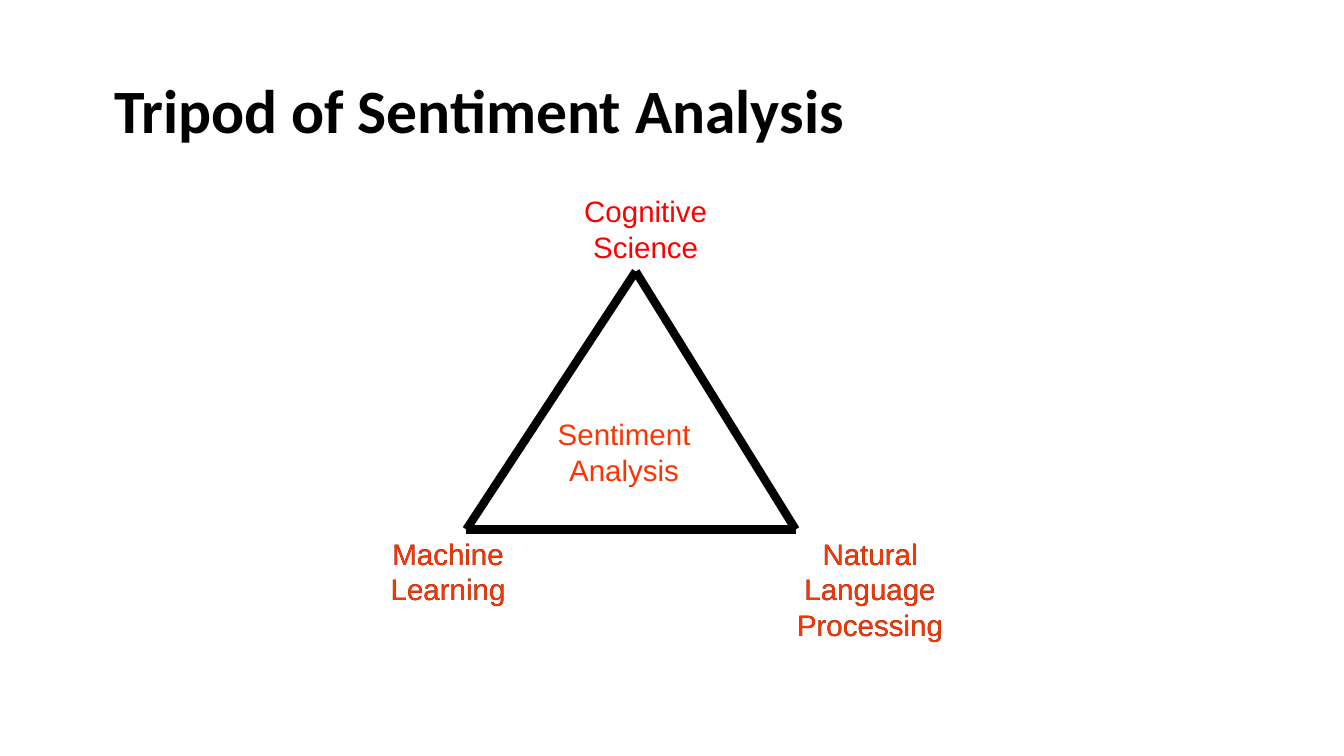
from typing import NamedTuple

from lxml import etree
from pptx import Presentation
from pptx import util as u
from pptx.dml.color import RGBColor
from pptx.enum import shapes, text
from pptx.oxml.ns import qn

SLIDE_WIDTH = 10
SLIDE_HEIGHT = SLIDE_WIDTH * 9 / 16
BLACK, RED, ORANGE = "000000", "FF0000", "FF3300"


class Point(NamedTuple):
    """A place given as shares of the slide's width and height."""
    x: float
    y: float


class Label(NamedTuple):
    words: str
    corner: Point
    height: float
    colors: tuple[str, ...]  # layers from back to front


# Rows and columns shared by the triangle and its labels
TOP, BASE = 2.02 / SLIDE_HEIGHT, 3.94 / SLIDE_HEIGHT
LABEL_WIDTH = 1.83 / SLIDE_WIDTH
TWO_LINES, THREE_LINES = 0.63 / SLIDE_HEIGHT, 0.9 / SLIDE_HEIGHT

APEX = Point(4.73 / SLIDE_WIDTH, TOP)
LEFT = Point(3.47 / SLIDE_WIDTH, BASE)
RIGHT = Point(5.92 / SLIDE_WIDTH, BASE)
SIDES = [(APEX, RIGHT), (LEFT, RIGHT), (APEX, LEFT)]

LABELS = [
    Label("Cognitive Science", Point(3.89 / SLIDE_WIDTH, TOP - TWO_LINES),
          TWO_LINES, (RED,)),
    Label("Natural Language Processing", Point(5.56 / SLIDE_WIDTH, BASE),
          THREE_LINES, (BLACK, ORANGE)),
    Label("Machine Learning", Point(2.42 / SLIDE_WIDTH, BASE),
          TWO_LINES, (BLACK, ORANGE)),
    Label("Sentiment Analysis", Point(3.73 / SLIDE_WIDTH, 3.05 / SLIDE_HEIGHT),
          TWO_LINES, (ORANGE,)),
]


def color(value: str) -> RGBColor:
    return RGBColor.from_string(value)


def across(share: float) -> int:
    return u.Inches(share * SLIDE_WIDTH)


def down(share: float) -> int:
    return u.Inches(share * SLIDE_HEIGHT)


def add_text(slide, words: str, corner: Point, width: float, height: float, *,
             size: float, fill: str, font: str = "Arial", bold: bool = False,
             align=text.PP_ALIGN.CENTER, anchor=text.MSO_ANCHOR.TOP,
             spacing: float = 1.0) -> None:
    box = slide.shapes.add_textbox(across(corner.x), down(corner.y),
                                   across(width), down(height))
    frame = box.text_frame
    frame.word_wrap = True
    frame.vertical_anchor = anchor
    paragraph = frame.paragraphs[0]
    paragraph.alignment = align
    paragraph.line_spacing = spacing
    run = paragraph.add_run()
    run.text = words
    run.font.name = font
    run.font.size = u.Pt(size)
    run.font.bold = bold
    run.font.color.rgb = color(fill)


def add_side(slide, start: Point, end: Point) -> None:
    line = slide.shapes.add_connector(shapes.MSO_CONNECTOR.STRAIGHT,
                                      across(start.x), down(start.y),
                                      across(end.x), down(end.y))
    line.line.color.rgb = color(BLACK)
    line.line.width = u.Pt(4.5)
    etree.SubElement(line._element.spPr, qn("a:effectLst"))


def main() -> None:
    presentation = Presentation()
    presentation.slide_width = u.Inches(SLIDE_WIDTH)
    presentation.slide_height = u.Inches(SLIDE_HEIGHT)
    slide = presentation.slides.add_slide(presentation.slide_layouts[6])

    # Title
    add_text(slide, "Tripod of Sentiment Analysis",
             Point(0.75 / SLIDE_WIDTH, 0.3 / SLIDE_HEIGHT),
             7.88 / SLIDE_WIDTH, 1.09 / SLIDE_HEIGHT,
             size=33, fill=BLACK, font="Calibri", bold=True, spacing=0.9,
             align=text.PP_ALIGN.LEFT, anchor=text.MSO_ANCHOR.MIDDLE)

    # Triangle
    for start, end in SIDES:
        add_side(slide, start, end)

    # Labels, some with a dark layer behind
    for label in LABELS:
        for fill in label.colors:
            add_text(slide, label.words, label.corner, LABEL_WIDTH, label.height,
                     size=15.8, fill=fill)

    presentation.save("out.pptx")


if __name__ == "__main__":
    main()
